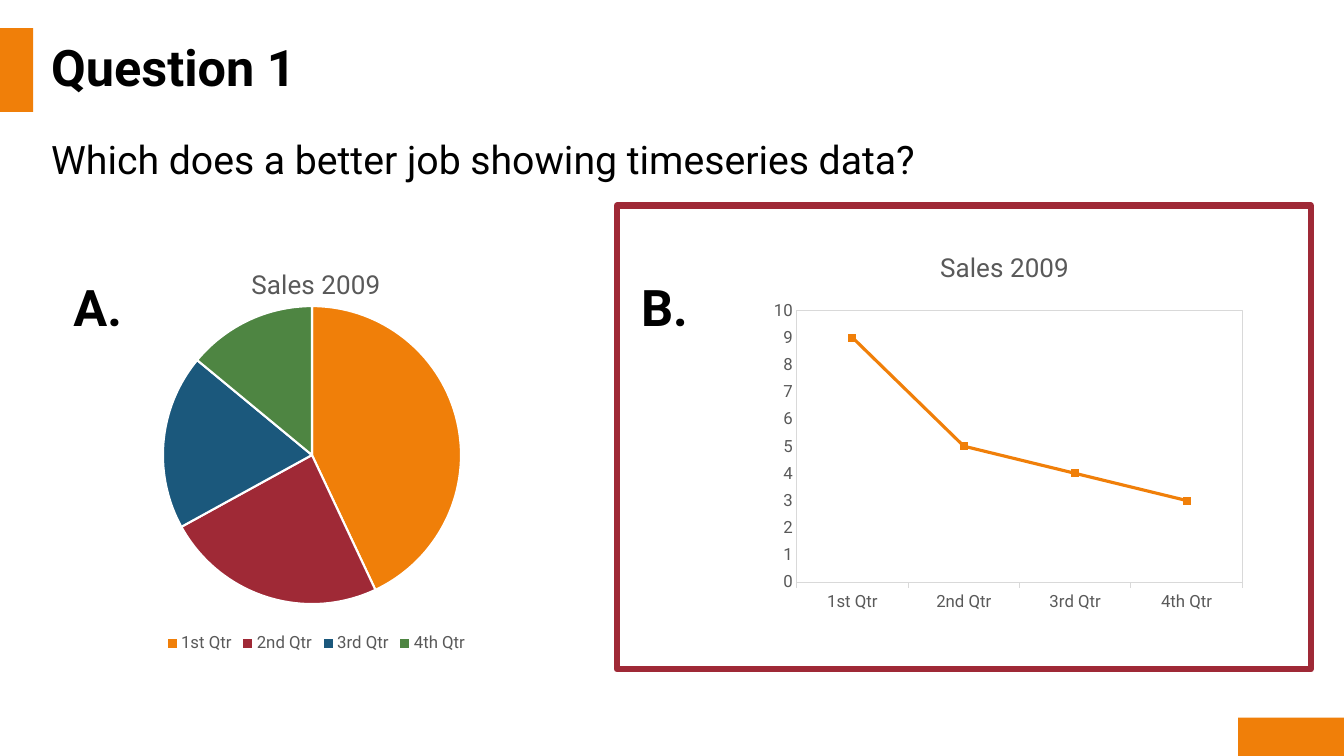
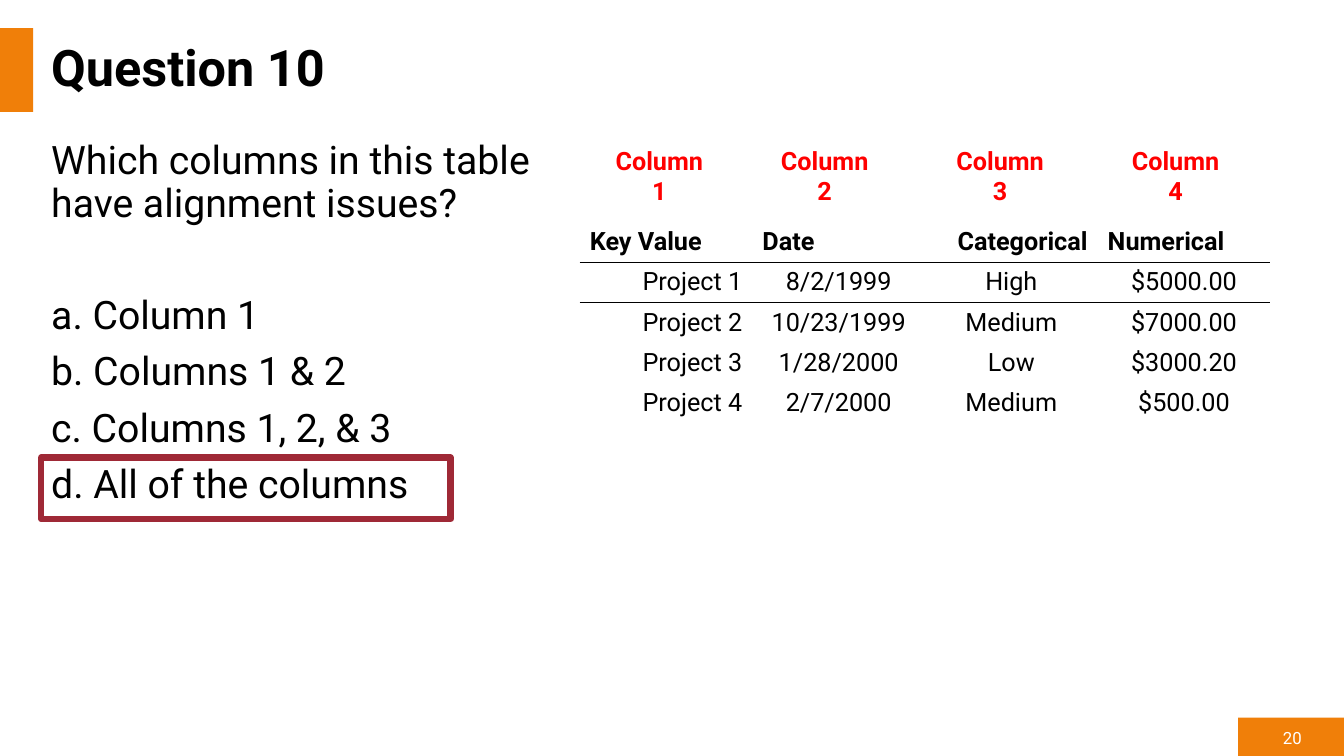
from lxml.etree import SubElement
from pptx import Presentation
from pptx.chart.data import CategoryChartData
from pptx.dml.color import RGBColor
from pptx.enum.chart import XL_CHART_TYPE, XL_LEGEND_POSITION, XL_MARKER_STYLE, XL_TICK_MARK
from pptx.enum.shapes import MSO_SHAPE
from pptx.enum.text import MSO_ANCHOR, PP_ALIGN
from pptx.oxml import parse_xml
from pptx.oxml.ns import nsdecls, qn
from pptx.util import Inches, Pt

ORANGE, CRIMSON, BLUE, GREEN = "F07F09", "9F2936", "1B587C", "4E8542"
BLACK, WHITE, RED, GREY, PALE = "000000", "FFFFFF", "FF0000", "595959", "D9D9D9"
LEFT, CENTER, RIGHT = PP_ALIGN.LEFT, PP_ALIGN.CENTER, PP_ALIGN.RIGHT
QUARTERS = ["1st Qtr", "2nd Qtr", "3rd Qtr", "4th Qtr"]
NO_STYLE = "{2D5ABB26-0587-4C30-8999-92F81FD0307C}"


def color(value):
    return RGBColor.from_string(value)


def apply(target, values):
    for name, value in values.items():
        setattr(target, name, value)


class QuizDeck:
    """Holds the quiz style and the slide being built."""

    def __init__(self):
        self.deck = Presentation()
        apply(self.deck, {"slide_width": Inches(13.33), "slide_height": Inches(7.5)})
        self.page = None

    def style(self, font, size, tone=BLACK, bold=False):
        apply(font, {"name": "Roboto", "size": Pt(size), "bold": bold})
        font.color.rgb = color(tone)

    def outline(self, line, tone, width):
        line.color.rgb = color(tone)
        line.width = Pt(width)

    def new_page(self, title, number=None):
        self.page = self.deck.slides.add_slide(self.deck.slide_layouts[6])
        self.rectangle(12.28, 7.12, 1.05, 0.38, fill=ORANGE)
        self.rectangle(0, 0.28, 0.33, 0.83, fill=ORANGE)
        self.text([title], 0.41, 0.28, 12.6, 0.83, 36, bold=True,
                  anchor=MSO_ANCHOR.MIDDLE, spacing=0.9)
        if number:
            self.text([number], 12.6, 7.2, 0.41, 0.23, 12, WHITE,
                      align=RIGHT, anchor=MSO_ANCHOR.MIDDLE)

    def rectangle(self, left, top, width, height, fill=None, border=None):
        box = self.page.shapes.add_shape(
            MSO_SHAPE.RECTANGLE, Inches(left), Inches(top), Inches(width), Inches(height))
        box.shadow.inherit = False
        if fill:
            box.fill.solid()
            box.fill.fore_color.rgb = color(fill)
        else:
            box.fill.background()
        if border:
            self.outline(box.line, border, 4.5)
        else:
            box.line.fill.background()

    def text(self, lines, left, top, width, height, size, tone=BLACK, bold=False,
             align=LEFT, anchor=MSO_ANCHOR.TOP, spacing=1.0, gaps=(0,)):
        box = self.page.shapes.add_textbox(
            Inches(left), Inches(top), Inches(width), Inches(height))
        frame = box.text_frame
        apply(frame, {"word_wrap": True, "vertical_anchor": anchor})
        for index, (line, gap) in enumerate(zip(lines, gaps)):
            para = frame.add_paragraph() if index else frame.paragraphs[0]
            apply(para, {"alignment": align, "line_spacing": spacing, "space_before": Pt(gap)})
            span = para.add_run()
            span.text = line
            self.style(span.font, size, tone, bold)

    def question(self, lines, width, gaps=(0,)):
        self.text(lines, 0.41, 1.35, width, 5.41, 28, spacing=0.9, gaps=gaps)

    def chart(self, kind, values, left, top, width, height, plot_box):
        data = CategoryChartData()
        data.categories = QUARTERS
        data.add_series("Series 1", values)
        chart = self.page.shapes.add_chart(
            kind, Inches(left), Inches(top), Inches(width), Inches(height), data).chart
        self.style(chart.font, 12, GREY)
        chart.has_legend = False
        chart.has_title = True
        para = chart.chart_title.text_frame.paragraphs[0]
        span = para.add_run()
        span.text = "Sales 2009"
        self.style(span.font, 18.6, GREY)
        chart.chart_title.include_in_layout = False
        self.place_plot(chart, plot_box)
        return chart

    def place_plot(self, chart, plot_box):
        area = chart.element.chart.plotArea
        for old in area.findall(qn("c:layout")):
            area.remove(old)
        layout = parse_xml(f"<c:layout {nsdecls('c')}><c:manualLayout/></c:layout>")
        settings = {"layoutTarget": "inner", "xMode": "edge", "yMode": "edge"}
        settings.update(zip("xywh", plot_box))
        for name, value in settings.items():
            SubElement(layout[0], qn(f"c:{name}")).set("val", str(value))
        area.insert(0, layout)

    def pie(self, values, *place):
        chart = self.chart(XL_CHART_TYPE.PIE, values, *place, (0.12, 0.14, 0.74, 0.73))
        chart.has_legend = True
        apply(chart.legend, {"position": XL_LEGEND_POSITION.BOTTOM, "include_in_layout": False})
        self.style(chart.legend.font, 12, GREY)
        chart.plots[0].vary_by_categories = True
        for index, tone in enumerate((ORANGE, CRIMSON, BLUE, GREEN)):
            slice_format = chart.plots[0].series[0].points[index].format
            slice_format.fill.solid()
            slice_format.fill.fore_color.rgb = color(tone)
            self.outline(slice_format.line, WHITE, 1.5)

    def line_chart(self, values, *place):
        chart = self.chart(XL_CHART_TYPE.LINE_MARKERS, values, *place, (0.08, 0.2, 0.9, 0.7))
        chart.plots[0].vary_by_categories = False
        series = chart.plots[0].series[0]
        series.smooth = False
        self.outline(series.format.line, ORANGE, 2.25)
        apply(series.marker, {"style": XL_MARKER_STYLE.SQUARE, "size": 5})
        series.marker.format.fill.solid()
        series.marker.format.fill.fore_color.rgb = color(ORANGE)
        self.outline(series.marker.format.line, ORANGE, 0.75)
        for axis in (chart.category_axis, chart.value_axis):
            axis.has_major_gridlines = False
            self.style(axis.tick_labels.font, 12, GREY)
        chart.category_axis.major_tick_mark = XL_TICK_MARK.OUTSIDE
        self.outline(chart.category_axis.format.line, PALE, 0.75)
        apply(chart.value_axis, {"minimum_scale": 0, "maximum_scale": 10, "major_unit": 1,
                                 "major_tick_mark": XL_TICK_MARK.NONE})
        chart.value_axis.format.line.fill.background()
        chart.element.chart.plotArea.append(parse_xml(
            f"<c:spPr {nsdecls('c', 'a')}><a:noFill/><a:ln w='9525'><a:solidFill>"
            f"<a:srgbClr val='{PALE}'/></a:solidFill></a:ln></c:spPr>"))

    def table(self, rows, left, top, width, row_height, header_aligns, body_aligns):
        table = self.page.shapes.add_table(
            len(rows), len(rows[0]), Inches(left), Inches(top),
            Inches(width), Inches(row_height * len(rows))).table
        apply(table, {"first_row": False, "horz_banding": False})
        table._tbl.tblPr.find(qn("a:tableStyleId")).text = NO_STYLE
        for row_index, row in enumerate(rows):
            aligns = body_aligns if row_index else header_aligns
            for column, (value, align) in enumerate(zip(row, aligns)):
                cell = table.cell(row_index, column)
                cell.vertical_anchor = MSO_ANCHOR.MIDDLE
                if row_index < 2:
                    self.rule(cell, "lnT" if row_index else "lnB")
                cell.fill.background()
                para = cell.text_frame.paragraphs[0]
                para.alignment = align
                span = para.add_run()
                span.text = value
                self.style(span.font, 18, bold=row_index == 0)

    def rule(self, cell, side):
        cell._tc.get_or_add_tcPr().append(parse_xml(
            f"<a:{side} {nsdecls('a')} w='12700'><a:solidFill>"
            f"<a:srgbClr val='{BLACK}'/></a:solidFill></a:{side}>"))


def main():
    quiz = QuizDeck()

    quiz.new_page("Question 1")
    quiz.question(["Which does a better job showing timeseries data?"], 12.6)
    quiz.pie([43, 24, 19, 14], 1.12, 2.47, 4.03, 4.05)
    quiz.line_chart([9, 5, 4, 3], 7.51, 2.31, 4.91, 3.85)
    for label, left in (("A.", 0.63), ("B.", 6.26)):
        quiz.text([label], left, 2.69, 1.25, 0.71, 36, bold=True)
    quiz.rectangle(6.12, 2.04, 6.88, 4.6, border=CRIMSON)

    quiz.new_page("Question 10", "20")
    quiz.question(["Which columns in this table have alignment issues?", "a. Column 1",
                   "b. Columns 1 & 2", "c. Columns 1, 2, & 3", "d. All of the columns"],
                  5.07, (0, 50, 10, 10, 10))
    quiz.table([["Key Value", "Date", "Categorical", "Numerical"],
                ["Project 1", "8/2/1999", "High", "$5000.00"],
                ["Project 2", "10/23/1999", "Medium", "$7000.00"],
                ["Project 3", "1/28/2000", "Low", "$3000.20"],
                ["Project 4", "2/7/2000", "Medium", "$500.00"]],
               5.75, 2.2, 6.85, 0.4,
               (LEFT, LEFT, RIGHT, LEFT), (RIGHT, CENTER, CENTER, CENTER))
    for number, left in enumerate((5.96, 7.6, 9.34, 11.08), 1):
        quiz.text([f"Column {number}"], left, 1.39, 1.16, 0.71, 18, RED, True, CENTER)
    quiz.rectangle(0.41, 4.54, 4.06, 0.61, border=CRIMSON)

    quiz.deck.save("out.pptx")


if __name__ == "__main__":
    main()
